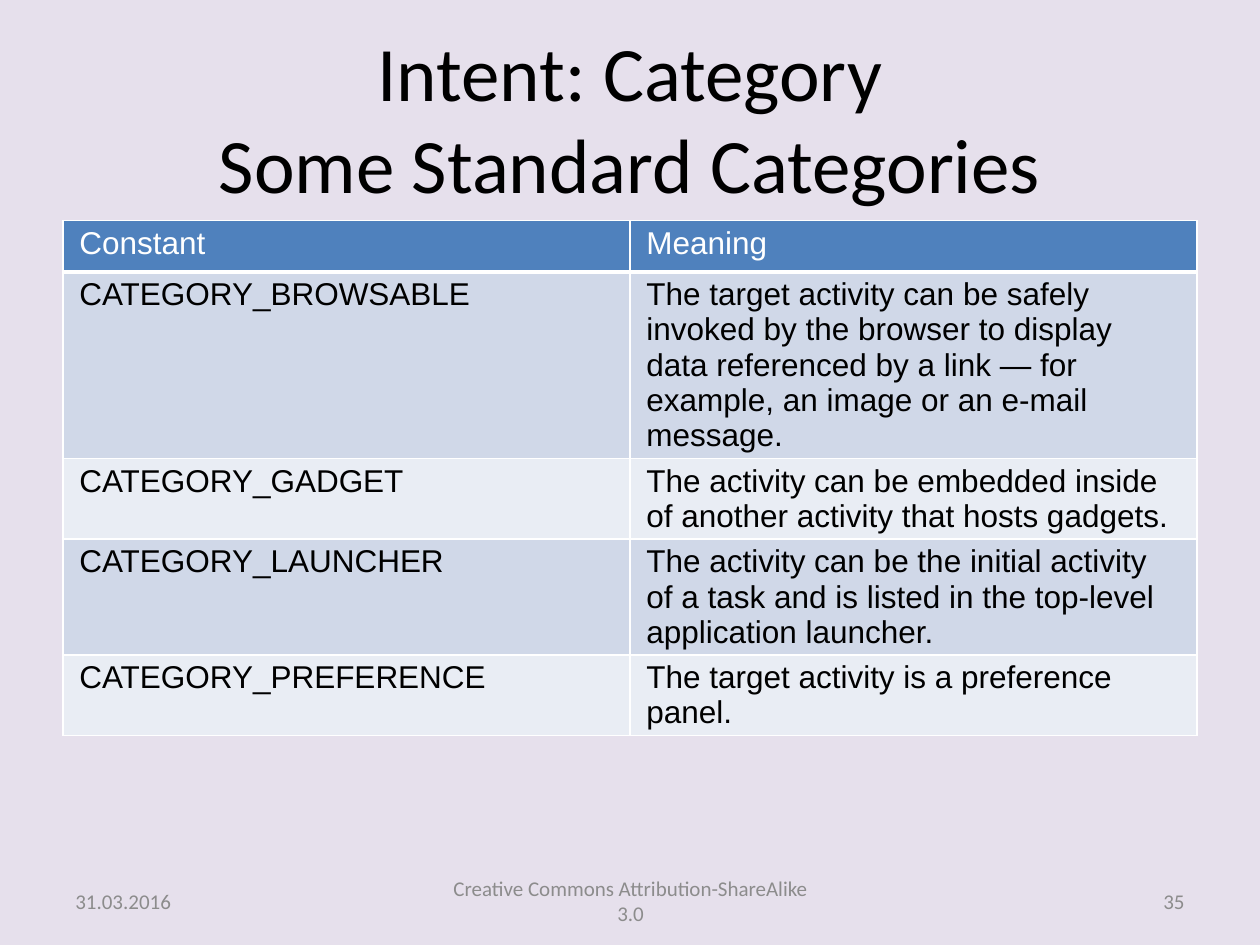
from dataclasses import dataclass

from lxml.etree import SubElement
from pptx import Presentation
from pptx.dml.color import RGBColor
from pptx.enum.text import MSO_ANCHOR as Anchor, PP_ALIGN as Align
from pptx.oxml.ns import qn
from pptx.util import Inches, Pt

BLACK, WHITE, GRAY = "000000", "FFFFFF", "8C8C8C"
HEADER_FILL = "4F81BD"
BAND_FILLS = ("D0D8E8", "E9EDF4")


@dataclass
class Label:
    text: str
    left: float
    top: float
    width: float
    height: float
    size: float = 12
    color: str = GRAY
    align: Align = Align.LEFT


@dataclass
class Category:
    constant: str
    meaning: str


LABELS = [
    Label("Intent: Category\nSome Standard Categories", 0.5, 0.3, 9, 1.25, 44, BLACK, Align.CENTER),
    Label("31.03.2016", 0.5, 6.95, 2.33, 0.4),
    Label("Creative Commons Attribution-ShareAlike 3.0", 3.42, 6.95, 3.17, 0.4, align=Align.CENTER),
    Label("35", 7.17, 6.95, 2.33, 0.4, align=Align.RIGHT),
]

HEADER = Category("Constant", "Meaning")
CATEGORIES = [
    Category(
        "CATEGORY_BROWSABLE",
        "The target activity can be safely invoked by the browser to display data "
        "referenced by a link — for example, an image or an e-mail message.",
    ),
    Category(
        "CATEGORY_GADGET",
        "The activity can be embedded inside of another activity that hosts gadgets.",
    ),
    Category(
        "CATEGORY_LAUNCHER",
        "The activity can be the initial activity of a task and is listed in the "
        "top-level application launcher.",
    ),
    Category("CATEGORY_PREFERENCE", "The target activity is a preference panel."),
]


def paint(target, color: str) -> None:
    target.solid()
    target.fore_color.rgb = RGBColor.from_string(color)


def write(paragraph, text: str, font: str, size: float, color: str) -> None:
    paragraph.text = text
    for run in paragraph.runs:
        run.font.name = font
        run.font.size = Pt(size)
        run.font.bold = False
        paint(run.font.fill, color)


def add_label(slide, label: Label) -> None:
    box = slide.shapes.add_textbox(
        Inches(label.left), Inches(label.top), Inches(label.width), Inches(label.height)
    )
    frame = box.text_frame
    frame.word_wrap = True
    frame.vertical_anchor = Anchor.MIDDLE
    paragraph = frame.paragraphs[0]
    write(paragraph, label.text, "Calibri", label.size, label.color)
    paragraph.alignment = label.align


def add_borders(cell, top: float, bottom: float) -> None:
    properties = cell._tc.get_or_add_tcPr()
    for side, width in (("L", 1), ("R", 1), ("T", top), ("B", bottom)):
        line = SubElement(properties, qn(f"a:ln{side}"), w=str(Pt(width)))
        fill = SubElement(line, qn("a:solidFill"))
        SubElement(fill, qn("a:srgbClr"), val=WHITE)


def fill_cell(cell, text: str, row: int) -> None:
    cell.margin_left, cell.margin_right = Inches(0.13), Inches(0.14)
    cell.margin_top = cell.margin_bottom = Inches(0.04)
    add_borders(cell, top=3 if row == 1 else 1, bottom=3 if row == 0 else 1)
    paint(cell.fill, BAND_FILLS[(row - 1) % 2] if row else HEADER_FILL)
    write(cell.text_frame.paragraphs[0], text, "Arial", 18, BLACK if row else WHITE)


def add_categories(slide) -> None:
    entries = [HEADER, *CATEGORIES]
    row_height = Inches(0.41)
    table = slide.shapes.add_table(
        len(entries), 2, Inches(0.5), Inches(1.75), Inches(9), row_height * len(entries)
    ).table
    for row, entry in enumerate(entries):
        table.rows[row].height = row_height
        for column, text in enumerate((entry.constant, entry.meaning)):
            fill_cell(table.cell(row, column), text, row)


def main() -> None:
    deck = Presentation()
    deck.slide_width, deck.slide_height = Inches(10), Inches(7.5)
    slide = deck.slides.add_slide(deck.slide_layouts[6])
    paint(slide.background.fill, "E6E0EC")
    add_categories(slide)
    for label in LABELS:
        add_label(slide, label)
    deck.save("out.pptx")


if __name__ == "__main__":
    main()
